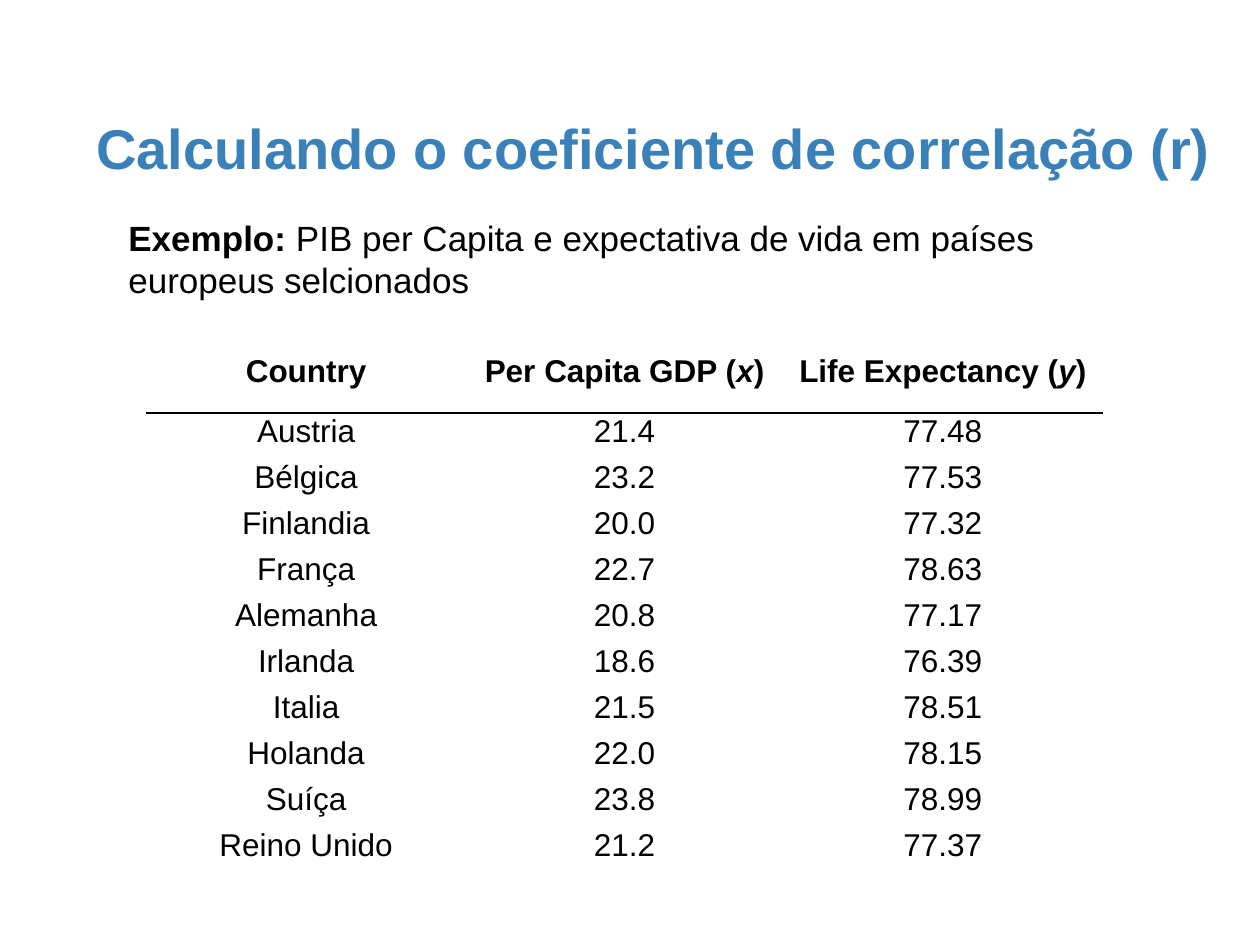
from lxml import etree
from pptx import Presentation
from pptx import util as u
from pptx.dml.color import RGBColor
from pptx.enum import text
from pptx.oxml import ns

PX = u.Inches(1) // 126
BLUE = RGBColor(0x3A, 0x81, 0xBA)
BLACK = RGBColor(0, 0, 0)


def style(run, size, color, bold, italic=False):
    run.font.name = "Arial"
    run.font.size = u.Pt(size)
    run.font.color.rgb = color
    run.font.bold = bold
    run.font.italic = italic


def add_rule(cell, side):
    line = etree.Element(ns.qn(f"a:{side}"), w=str(u.Pt(1)))
    fill = etree.SubElement(line, ns.qn("a:solidFill"))
    etree.SubElement(fill, ns.qn("a:srgbClr"), val=str(BLACK))
    cell._tc.get_or_add_tcPr().insert(0, line)


deck = Presentation()
deck.slide_width = 1260 * PX
deck.slide_height = 945 * PX
slide = deck.slides.add_slide(deck.slide_layouts[5])

title = slide.shapes.title
title.left, title.top, title.width, title.height = 52 * PX, 67 * PX, 1177 * PX, 120 * PX
title.text_frame.text = "Calculando o coeficiente de correlação (r)"
title.text_frame.vertical_anchor = text.MSO_ANCHOR.BOTTOM
heading = title.text_frame.paragraphs[0]
heading.alignment = text.PP_ALIGN.LEFT
heading._p.get_or_add_pPr().set("indent", str(u.Inches(0.25)))
style(heading.runs[0], 32, BLUE, True)

rows = [
    (("Country",), ("Per Capita GDP (", "x", ")"), ("Life Expectancy (", "y", ")")),
    (("Austria",), ("21.4",), ("77.48",)),
    (("Bélgica",), ("23.2",), ("77.53",)),
    (("Finlandia",), ("20.0",), ("77.32",)),
    (("França",), ("22.7",), ("78.63",)),
    (("Alemanha",), ("20.8",), ("77.17",)),
    (("Irlanda",), ("18.6",), ("76.39",)),
    (("Italia",), ("21.5",), ("78.51",)),
    (("Holanda",), ("22.0",), ("78.15",)),
    (("Suíça",), ("23.8",), ("78.99",)),
    (("Reino Unido",), ("21.2",), ("77.37",)),
]
countries = slide.shapes.add_table(
    len(rows), 3, 147 * PX, 340 * PX, 955 * PX, 532 * PX
).table
countries.first_row = False
countries.horz_banding = False
for row_index, row in enumerate(rows):
    countries.rows[row_index].height = (46 if row_index else 73) * PX
    for column_index, parts in enumerate(row):
        cell = countries.cell(row_index, column_index)
        cell.fill.background()
        cell.vertical_anchor = text.MSO_ANCHOR.MIDDLE
        entry = cell.text_frame.paragraphs[0]
        entry.alignment = text.PP_ALIGN.CENTER
        entry.line_spacing = 0.6
        entry.space_before = u.Pt(7)
        for part in parts:
            run = entry.add_run()
            run.text = part
            style(run, 18, BLACK, row_index == 0, part in ("x", "y"))
        if row_index < 2:
            add_rule(cell, "lnT" if row_index else "lnB")

example = slide.shapes.add_textbox(116 * PX, 210 * PX, 1081 * PX, 97 * PX)
example.text_frame.word_wrap = True
sentence = example.text_frame.paragraphs[0]
for part, bold in (
    ("Exemplo: ", True),
    ("PIB per Capita e expectativa de vida em países europeus selcionados", False),
):
    run = sentence.add_run()
    run.text = part
    style(run, 20, BLACK, bold)

deck.save("out.pptx")
